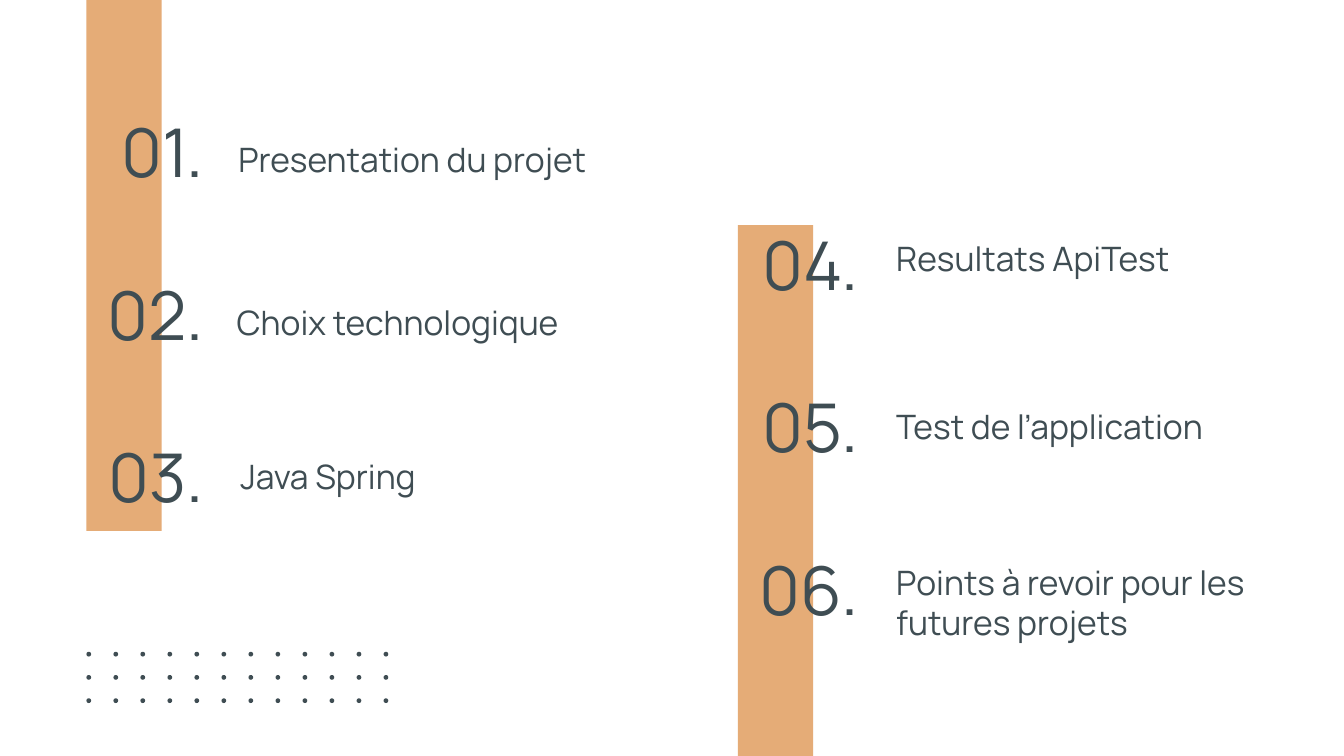
from dataclasses import dataclass
from itertools import product

from pptx import Presentation
from pptx.dml.color import RGBColor
from pptx.enum.shapes import MSO_SHAPE as Shape
from pptx.enum.text import MSO_ANCHOR as Anchor, MSO_AUTO_SIZE as AutoSize, PP_ALIGN as Align
from pptx.util import Emu, Inches, Pt

SAND = RGBColor(0xE5, 0xAC, 0x77)
SLATE = RGBColor(0x3F, 0x4D, 0x53)
FONT = "Manrope"

WIDTH = Inches(10)
HEIGHT = Emu(WIDTH * 9 // 16)
CELL = WIDTH / 100
ROWS = HEIGHT / CELL

BAR_W, BAR_H = 5.6, 39.5
NUMBER_W, NUMBER_H, NUMBER_STEP = 14.4, 5.9, 12.1
CAPTION_W, CAPTION_H = 30.7, 4.8
DOT_COLS, DOT_ROWS = 12, 3
DOT_LEFT, DOT_TOP, DOT_SIZE = 6.43, 48.5, 0.35
DOT_STEP_X, DOT_STEP_Y = 2.01, 1.73


@dataclass(frozen=True)
class Box:
    col: float
    row: float
    cols: float
    rows: float

    def emu(self) -> list[Emu]:
        return [Emu(round(v * CELL)) for v in (self.col, self.row, self.cols, self.rows)]


@dataclass(frozen=True)
class Caption:
    text: str
    col: float
    row: float


@dataclass(frozen=True)
class Section:
    bar_col: float
    bar_row: float
    number_col: float
    number_row: float
    first: int
    captions: tuple[Caption, ...]


SECTIONS = (
    Section(6.43, 0, 1.73, 9.3, 1, (
        Caption("Presentation du projet", 16.73, 9.3),
        Caption("Choix technologique", 16.63, 21.5),
        Caption("Java Spring", 16.9, 32.9),
    )),
    Section(54.9, ROWS - BAR_H, 50.5, 17.7, 4, (
        Caption("Resultats ApiTest", 65.7, 16.7),
        Caption("Test de l’application", 65.7, 29.2),
        Caption("Points à revoir pour les futures projets", 65.7, 40.8),
    )),
)


def add_filled(slide, kind: Shape, box: Box, color: RGBColor) -> None:
    sp = slide.shapes.add_shape(kind, *box.emu())
    sp.shadow.inherit = False
    sp.fill.solid()
    sp.fill.fore_color.rgb = color
    sp.line.fill.background()


def put_text(sp, box: Box, text: str, *, size: int, align: Align = Align.LEFT,
             anchor: Anchor = Anchor.TOP) -> None:
    sp.left, sp.top, sp.width, sp.height = box.emu()
    tf = sp.text_frame
    tf.word_wrap = True
    tf.auto_size = AutoSize.NONE
    tf.vertical_anchor = anchor
    tf.margin_left = tf.margin_right = tf.margin_top = tf.margin_bottom = Inches(0.1)
    p = tf.paragraphs[0]
    p.alignment = align
    p.line_spacing = 1.0
    r = p.add_run()
    r.text = text
    r.font.name = FONT
    r.font.size = Pt(size)
    r.font.color.rgb = SLATE


def add_section(slide, section: Section) -> None:
    title = slide.shapes.title
    add_filled(slide, Shape.RECTANGLE,
               Box(section.bar_col, section.bar_row, BAR_W, BAR_H), SAND)
    for i, caption in enumerate(section.captions):
        number = section.first + i
        number_box = Box(section.number_col, section.number_row + i * NUMBER_STEP,
                         NUMBER_W, NUMBER_H)
        put_text(slide.shapes.add_textbox(*number_box.emu()), number_box, f"{number:02}.",
                 size=36, align=Align.RIGHT, anchor=Anchor.BOTTOM)
        caption_box = Box(caption.col, caption.row, CAPTION_W, CAPTION_H)
        sp = title if number == 1 else slide.shapes.add_textbox(*caption_box.emu())
        put_text(sp, caption_box, caption.text, size=18)


def add_dots(slide) -> None:
    for row, col in product(range(DOT_ROWS), range(DOT_COLS)):
        box = Box(DOT_LEFT + col * DOT_STEP_X, DOT_TOP + row * DOT_STEP_Y, DOT_SIZE, DOT_SIZE)
        add_filled(slide, Shape.OVAL, box, SLATE)


def main() -> None:
    prs = Presentation()
    prs.slide_width, prs.slide_height = WIDTH, HEIGHT
    s = prs.slides.add_slide(prs.slide_layouts.get_by_name("Title Only"))
    for section in SECTIONS:
        add_section(s, section)
    add_dots(s)
    prs.save("out.pptx")


if __name__ == "__main__":
    main()
